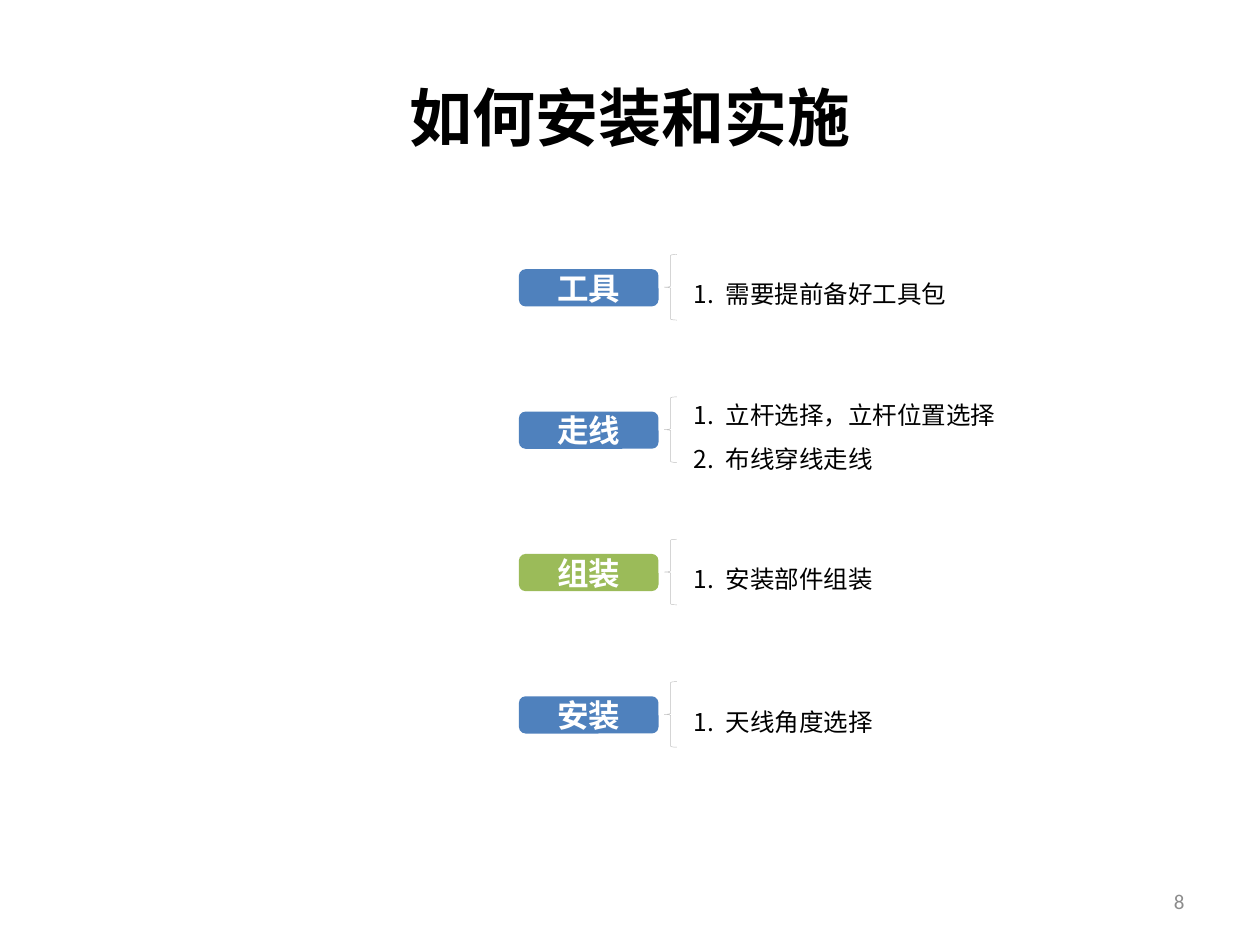
from lxml import etree
from pptx import Presentation
from pptx import util as u
from pptx.dml.color import RGBColor
from pptx.enum import shapes, text
from pptx.oxml import ns

Pt = u.Pt
BLUE = RGBColor(0x4F, 0x81, 0xBD)
GREEN = RGBColor(0x9B, 0xBB, 0x59)
BLACK = RGBColor(0, 0, 0)
WHITE = RGBColor(255, 255, 255)
GRAY = RGBColor(0x8C, 0x8C, 0x8C)
SILVER = RGBColor(0xBF, 0xBF, 0xBF)

TOP, PITCH = 138.4, 81.36
ROWS = [
    ("工具", BLUE, ["需要提前备好工具包"]),
    ("走线", BLUE, ["立杆选择，立杆位置选择", "布线穿线走线"]),
    ("组装", GREEN, ["安装部件组装"]),
    ("安装", BLUE, ["天线角度选择"]),
]


class Deck:
    face = "Calibri"
    head = {"size": Pt(36), "bold": True}
    label = {"size": Pt(18), "bold": True}
    item = {"size": Pt(14), "bold": False}
    foot = {"size": Pt(12), "bold": False}

    def __init__(self):
        self.file = Presentation()
        self.file.slide_width, self.file.slide_height = Pt(720), Pt(540)
        self.slide = self.file.slides.add_slide(self.file.slide_layouts[5])

    def fill_text(self, frame, lines, style, color, align, pad=(0, 0)):
        form = {
            "word_wrap": True,
            "auto_size": text.MSO_AUTO_SIZE.NONE,
            "vertical_anchor": text.MSO_ANCHOR.MIDDLE,
            "margin_left": Pt(pad[0]),
            "margin_right": Pt(pad[0]),
            "margin_top": Pt(pad[1]),
            "margin_bottom": Pt(pad[1]),
        }
        for key, value in form.items():
            setattr(frame, key, value)
        for num, line in enumerate(lines):
            para = frame.add_paragraph() if num else frame.paragraphs[0]
            para.alignment = align
            run = para.add_run()
            run.text = line
            for key, value in {"name": self.face, **style}.items():
                setattr(run.font, key, value)
            run.font.color.rgb = color

    def title(self, words, *box):
        shape = self.slide.shapes.title
        for key, value in zip(("left", "top", "width", "height"), box):
            setattr(shape, key, Pt(value))
        self.fill_text(shape.text_frame, [words], self.head, BLACK,
                       text.PP_ALIGN.CENTER, (7.2, 3.6))

    def block(self, kind, *box):
        shape = self.slide.shapes.add_shape(kind, *map(Pt, box))
        shape.shadow.inherit = False
        return shape

    def pill(self, words, color, *box):
        shape = self.block(shapes.MSO_SHAPE.ROUNDED_RECTANGLE, *box)
        shape.adjustments[0] = 0.18
        shape.fill.solid()
        shape.fill.fore_color.rgb = color
        shape.line.fill.background()
        self.fill_text(shape.text_frame, [words], self.label, WHITE,
                       text.PP_ALIGN.CENTER)

    def brace(self, *box):
        shape = self.block(shapes.MSO_SHAPE.LEFT_BRACE, *box)
        shape.fill.background()
        shape.line.color.rgb = SILVER
        shape.line.width = Pt(0.25)

    def steps(self, lines, *box):
        frame = self.slide.shapes.add_textbox(*map(Pt, box)).text_frame
        self.fill_text(frame, lines, self.item, BLACK,
                       text.PP_ALIGN.LEFT, (7.2, 3.6))
        for para in frame.paragraphs:
            para.line_spacing = 1.5
            props = para._p.get_or_add_pPr()
            props.set("marL", str(Pt(18)))
            props.set("indent", str(Pt(-18)))
            etree.SubElement(props, ns.qn("a:buAutoNum"), type="arabicPeriod")
            tabs = etree.SubElement(props, ns.qn("a:tabLst"))
            etree.SubElement(tabs, ns.qn("a:tab"), pos=str(Pt(18)), algn="l")

    def number(self, words, *box):
        frame = self.slide.shapes.add_textbox(*map(Pt, box)).text_frame
        self.fill_text(frame, [words], self.foot, GRAY,
                       text.PP_ALIGN.RIGHT, (7.2, 3.6))


def main():
    deck = Deck()
    deck.number("8", 516, 500.5, 168, 28.75)
    deck.title("如何安装和实施", 36, 21.6, 648, 90)
    for row, (name, color, lines) in enumerate(ROWS):
        top = TOP + row * PITCH
        deck.pill(name, color, 296.5, top + 15.4, 79.8, 21.3)
        deck.steps(lines, 389.5, top, 291, 51)
        deck.brace(379.6, top + 7, 7.2, 37.5)
    deck.file.save("out.pptx")


if __name__ == "__main__":
    main()
